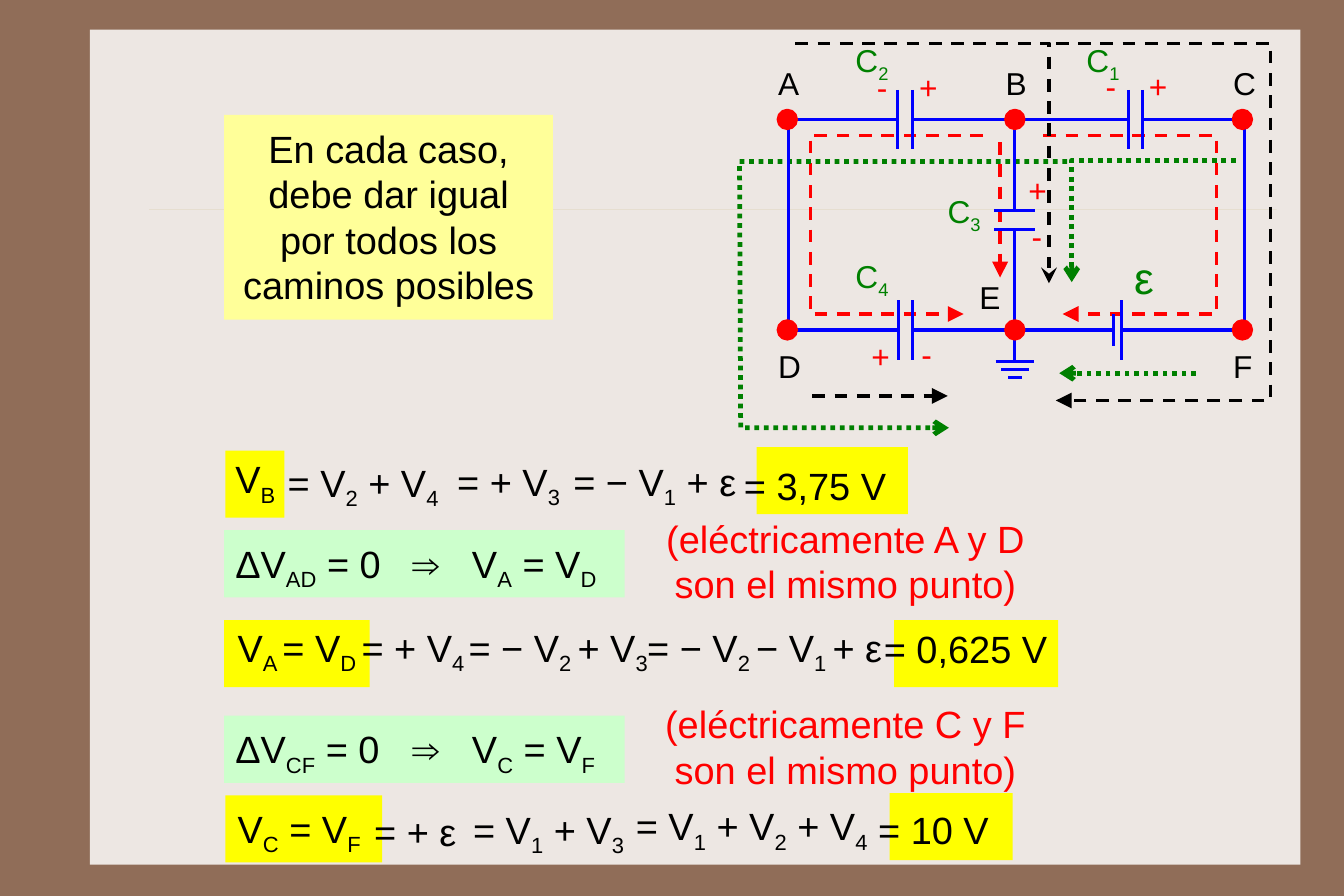
from lxml import etree
from pptx import Presentation
from pptx import util as u
from pptx.dml.color import RGBColor
from pptx.enum import dml, shapes, text
from pptx.oxml.ns import qn

BROWN = RGBColor(0x90, 0x6D, 0x58)
PAPER = RGBColor(0xED, 0xE7, 0xE3)
RULE = RGBColor(0xCB, 0xBD, 0x83)
YELLOW = RGBColor(0xFF, 0xFF, 0x00)
PALE_YELLOW = RGBColor(0xFF, 0xFF, 0x99)
PALE_GREEN = RGBColor(0xCC, 0xFF, 0xCC)
BLACK = RGBColor(0, 0, 0)
RED = RGBColor(0xFF, 0, 0)
GREEN = RGBColor(0, 0x80, 0)
BLUE = RGBColor(0, 0, 0xFF)
DASH = dml.MSO_LINE.DASH
DOT = dml.MSO_LINE.ROUND_DOT
TOP = text.MSO_ANCHOR.TOP
MIDDLE = text.MSO_ANCHOR.MIDDLE
LEFT = text.PP_ALIGN.LEFT
CENTER = text.PP_ALIGN.CENTER


def fill_shape(slide, box, color, preset=shapes.MSO_SHAPE.RECTANGLE):
    """Add a borderless filled shape."""
    shape = slide.shapes.add_shape(preset, *map(u.Inches, box))
    shape.shadow.inherit = False
    shape.fill.solid()
    shape.fill.fore_color.rgb = color
    shape.line.fill.background()
    return shape


def write(holder, content, size=24, color=BLACK, pad=0.05, anchor=TOP, align=LEFT, tabs=()):
    """Write paragraphs, in which the parts between bars are subscripts."""
    frame = holder.text_frame
    frame.word_wrap = True
    frame.vertical_anchor = anchor
    frame.margin_top = frame.margin_bottom = u.Inches(pad)
    for index, line in enumerate(content.split("\n")):
        paragraph = frame.add_paragraph() if index else frame.paragraphs[0]
        paragraph.alignment = align
        if tabs:
            stops = etree.SubElement(paragraph._p.get_or_add_pPr(), qn("a:tabLst"))
            for stop in tabs:
                etree.SubElement(stops, qn("a:tab"), pos=str(u.Inches(stop)), algn="l")
        paragraph.font.name = "Arial"
        paragraph.font.size = u.Pt(size)
        paragraph.font.color.rgb = color
        for part, piece in enumerate(line.split("|")):
            if piece:
                run = paragraph.add_run()
                run.text = piece
                if part % 2:
                    run._r.get_or_add_rPr().set("baseline", "-25000")


def label(slide, box, content, **style):
    """Add a text box with its content."""
    write(slide.shapes.add_textbox(*map(u.Inches, box)), content, **style)


def stroke(slide, origin, points, color=BLUE, width=2, dash=None, arrow=None, head="med"):
    """Draw a line through points measured from the origin."""
    corners = [(u.Inches(origin[0] + x), u.Inches(origin[1] + y)) for x, y in points]
    if len(corners) == 2:
        path = slide.shapes.add_connector(shapes.MSO_CONNECTOR.STRAIGHT, *corners[0], *corners[1])
    else:
        builder = slide.shapes.build_freeform(*corners[0])
        builder.add_line_segments(corners[1:], close=False)
        path = builder.convert_to_shape()
        path.fill.background()
    path.line.color.rgb = color
    path.line.width = u.Pt(width)
    if dash:
        path.line.dash_style = dash
    properties = path._element.spPr
    if arrow:
        etree.SubElement(properties.find(qn("a:ln")), qn("a:tailEnd"), type=arrow, w=head, len=head)
    etree.SubElement(properties, qn("a:effectLst"))
    return path


def backdrop(slide, left, top, width, height):
    """Lay the paper panel and its faint rule on the brown background."""
    slide.background.fill.solid()
    slide.background.fill.fore_color.rgb = BROWN
    fill_shape(slide, (left, top, width, height), PAPER)
    rule = stroke(slide, (left, top), [(0.52, 1.58), (10.43, 1.58)], RULE, 0.25)
    tint = next(rule._element.spPr.iter(qn("a:srgbClr")))
    etree.SubElement(tint, qn("a:alpha"), val="30000")


def advice(slide, box):
    """Place the yellow advice box."""
    write(fill_shape(slide, box, PALE_YELLOW),
          "En cada caso,\ndebe dar igual\npor todos los caminos posibles", pad=0.09, align=CENTER)


def voltage_paths(slide, origin):
    """Draw the three families of arrowed paths around the circuit."""
    families = [
        (RED, 2, DASH, "lg", [
            ("triangle", [(1.72, 0.14), (0.2, 0.14), (0.2, 1.71), (1.55, 1.71)]),
            ("triangle", [(2.25, 0.14), (3.77, 0.14), (3.77, 1.71), (2.42, 1.71)]),
            ("triangle", [(1.87, 0.2), (1.87, 1.39)])]),
        (BLACK, 2, DASH, "lg", [
            ("stealth", [(0.07, -0.67), (2.3, -0.67), (2.3, 1.44)]),
            ("triangle", [(0.22, 2.43), (1.41, 2.43)]),
            ("triangle", [(2.36, -0.67), (4.25, -0.67), (4.25, 2.47), (2.36, 2.47)])]),
        (GREEN, 3, DOT, "med", [
            ("arrow", [(3.94, 0.36), (2.5, 0.36), (2.5, 1.43)]),
            ("arrow", [(3.59, 2.23), (2.39, 2.23)]),
            ("arrow", [(2.46, 0.37), (-0.42, 0.37), (-0.41, 2.71), (1.42, 2.71)])]),
    ]
    for color, width, dash, head, routes in families:
        for arrow, points in routes:
            stroke(slide, origin, points, color, width, dash, arrow, head)


def circuit(slide, left, top):
    """Draw the circuit from its node A."""
    origin = left, top
    right, bottom, middle = 4.02, 1.85, 2
    voltage_paths(slide, origin)

    wires = [(0, 0, 0.97, 0), (1.1, 0, 3, 0), (3.12, 0, right, 0),
             (0, bottom, 0.98, bottom), (1.1, bottom, 2.87, bottom), (2.94, bottom, right, bottom),
             (0.01, 0, 0.01, bottom), (right, 0, right, bottom),
             (middle, 0, middle, 0.8), (middle, 0.98, middle, 2.12)]
    plates = [(x, y - reach, x, y + reach) for x, y, reach in [
        (0.97, 0, 0.26), (1.1, 0, 0.26), (3, 0, 0.26), (3.12, 0, 0.26),
        (0.98, bottom, 0.26), (1.1, bottom, 0.26), (2.87, bottom, 0.14), (2.94, bottom, 0.26)]]
    bars = [(middle - reach, y, middle + reach, y) for y, reach in [
        (0.8, 0.18), (0.97, 0.18), (2.13, 0.17), (2.2, 0.12), (2.27, 0.06)]]
    for x1, y1, x2, y2 in wires + plates + bars:
        stroke(slide, origin, [(x1, y1), (x2, y2)])

    for number, x, y in [(2, 0.5, -0.74), (1, 2.53, -0.74), (3, 1.31, 0.59), (4, 0.5, 1.16)]:
        label(slide, (left + x, top + y, 0.55, 0.51), f"C|{number}|", size=20, color=GREEN)
    label(slide, (left + 2.95, top + 1.18, 0.37, 0.4), "ε", size=28, color=GREEN, anchor=MIDDLE)
    for sign, x, y in [("+", 3.08, -0.55), ("-", 2.7, -0.55), ("+", 1.06, -0.54), ("-", 0.69, -0.54),
                       ("+", 2.02, 0.36), ("-", 2.05, 0.77), ("+", 0.64, 1.82), ("-", 1.08, 1.8)]:
        label(slide, (left + x, top + y, 0.36, 0.52), sign, size=20, color=RED, pad=0.09)

    for name, x, y, dx, dy in [("A", 0, 0, -0.18, -0.54), ("B", 2, 0, -0.18, -0.54),
                               ("C", 4, 0, -0.18, -0.54), ("D", 0, bottom, -0.18, 0.1),
                               ("E", 2, bottom, -0.41, -0.51), ("F", 4, bottom, -0.18, 0.1)]:
        node = fill_shape(slide, (left + x - 0.08, top + y - 0.08, 0.16, 0.16), RED,
                          shapes.MSO_SHAPE.OVAL)
        node.line.color.rgb = RED
        node.line.width = u.Pt(2)
        label(slide, (left + x + dx, top + y + dy, 0.37, 0.53), name, size=20)


def equation(slide, left, top, highlights, terms):
    """Place the terms of an equation over its highlighted ends."""
    for x, y, width in highlights:
        fill_shape(slide, (left + x, top + y, width, 0.59), YELLOW)
    for x, y, width, term in terms:
        label(slide, (left + x, top + y, width, 0.51), term, anchor=MIDDLE)


def equivalence(slide, left, top, first, second):
    """Place the green statement that two nodes match, and its red remark."""
    write(fill_shape(slide, (left, top, 3.52, 0.59), PALE_GREEN),
          f"ΔV|{first}{second}| = 0\t⇒\tV|{first}| = V|{second}|", pad=0.09, tabs=(1.56, 2.08))
    label(slide, (left + 3.58, top - 0.22, 3.76, 0.99),
          f"(eléctricamente {first} y {second} son el mismo punto)",
          color=RED, pad=0.09, align=CENTER)


def main():
    """Build the slide."""
    deck = Presentation()
    deck.slide_width, deck.slide_height = u.Inches(11.8125), u.Inches(7.875)
    slide = deck.slides.add_slide(deck.slide_layouts[6])
    backdrop(slide, 0.79, 0.26, 10.64, 7.34)
    advice(slide, (1.97, 1.01, 2.89, 1.8))
    circuit(slide, 6.92, 1.05)
    equation(slide, 1.97, 3.96, [(0.01, 0, 0.52), (4.68, -0.03, 1.33)], [
        (0, 0.02, 0.79, "V|B|"), (0.46, 0.05, 1.59, "= V|2| + V|4|"),
        (1.95, 0.04, 1.26, "= + V|3|"), (2.97, 0.04, 1.75, "= − V|1| + ε"),
        (4.47, 0.05, 1.53, "= 3,75 V")])
    equivalence(slide, 1.97, 4.66, "A", "D")
    equation(slide, 1.97, 5.45, [(0, 0, 1.28), (5.89, 0, 1.44)], [
        (0.02, 0.01, 1.4, "V|A |= V|D|"), (1.11, 0.01, 1.3, "= + V|4|"),
        (2.05, 0.01, 1.9, "= − V|2 |+ V|3|"), (3.62, 0.01, 2.5, "= − V|2 |− V|1 |+ ε"),
        (5.7, -0.01, 1.8, "= 0,625 V")])
    equivalence(slide, 1.97, 6.29, "C", "F")
    equation(slide, 1.97, 6.98, [(0.01, 0.01, 1.38), (5.85, -0.01, 1.08)], [
        (0.02, 0.07, 1.5, "V|C| = V|F|"), (1.22, 0.07, 1.19, "= + ε"),
        (2.09, 0.08, 1.7, "= V|1| + V|3|"), (3.52, 0.05, 2.41, "= V|1| + V|2| + V|4|"),
        (5.65, 0.05, 1.3, "= 10 V")])
    deck.save("out.pptx")


if __name__ == "__main__":
    main()
